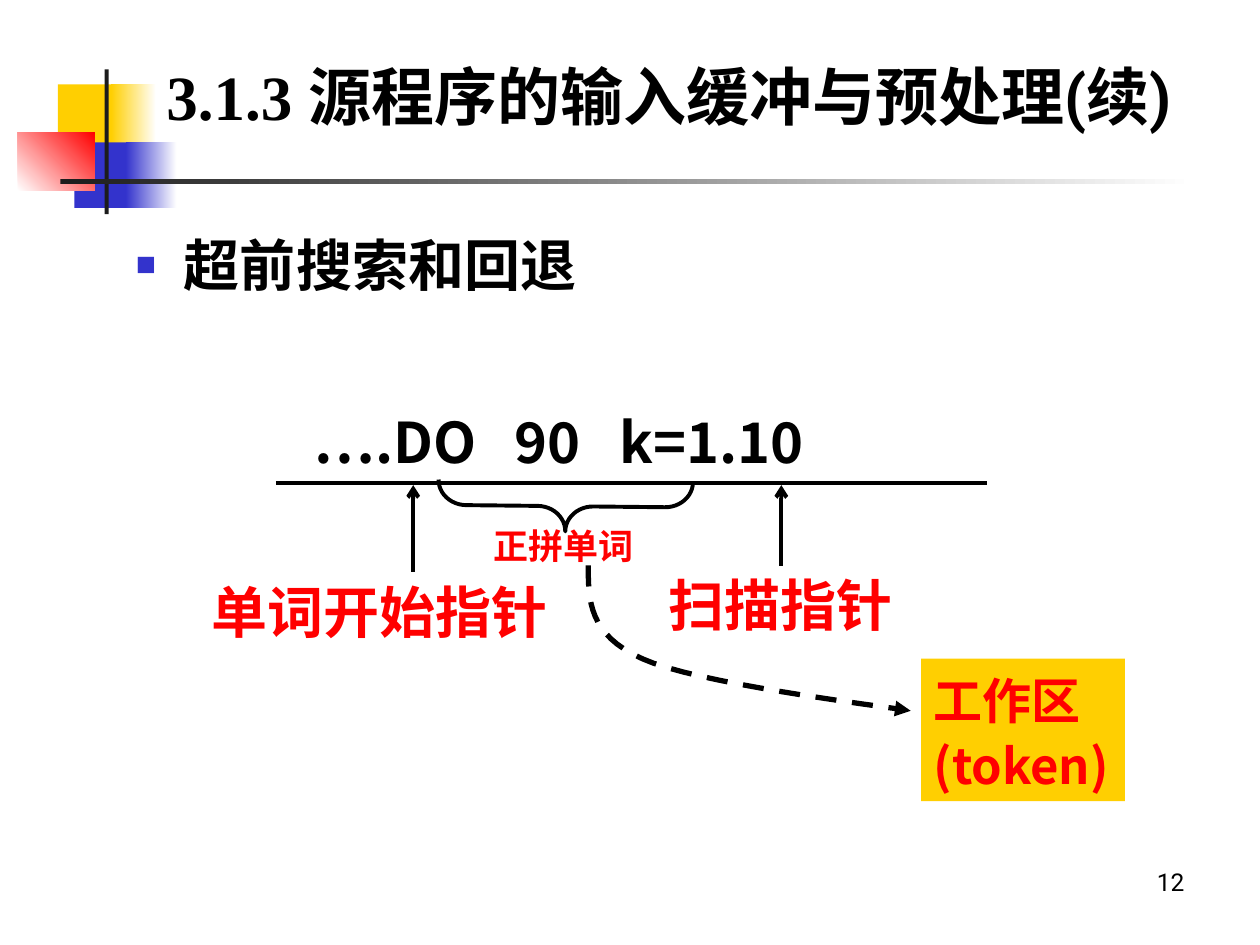
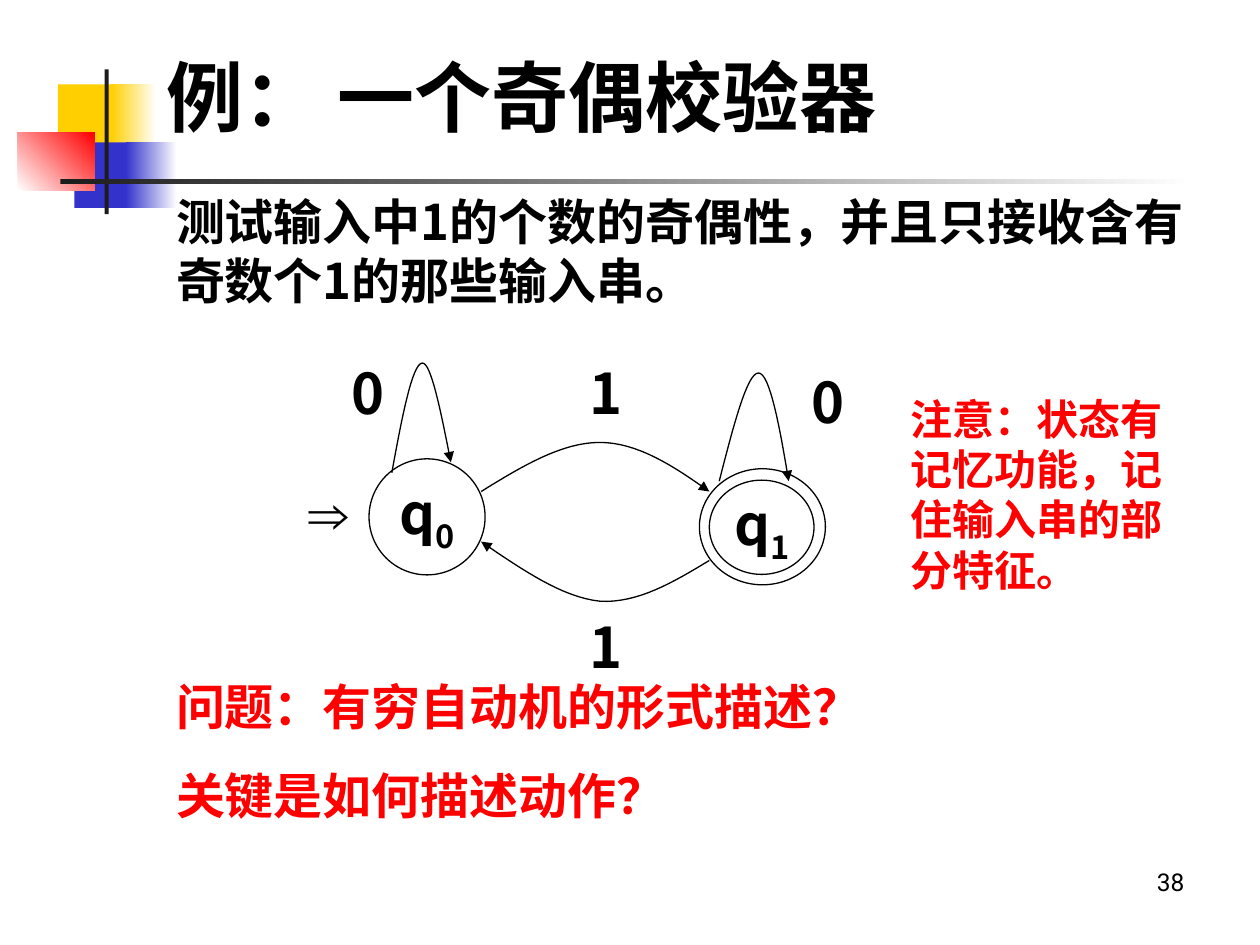
from collections import namedtuple

from lxml.etree import SubElement
from pptx import Presentation
from pptx.dml.color import RGBColor
from pptx.enum.dml import MSO_LINE
from pptx.enum.shapes import MSO_CONNECTOR, MSO_SHAPE
from pptx.enum.text import MSO_ANCHOR, MSO_AUTO_SIZE, PP_ALIGN
from pptx.oxml.ns import qn
from pptx.util import Cm, Pt

BLACK, WHITE, RED = "000000", "FFFFFF", "FF0000"
GOLD, BLUE, DARK = "FFCF01", "3333CC", "1C1C1C"
SANS, SERIF, CJK = "Roboto", "Times New Roman", "Noto Sans CJK SC"


class Box(namedtuple("Box", "x y w h")):
    """A rectangle in centimetres."""

    def inner(self, dx, dy, w, h):
        """Return a rectangle placed relative to this one."""
        return Box(self.x + dx, self.y + dy, w, h)

    def point(self, dx, dy):
        """Return an absolute point relative to this rectangle."""
        return self.x + dx, self.y + dy

    def lengths(self):
        """Return the four lengths for python-pptx."""
        return [Cm(value) for value in self]


def color(hex_code):
    """Turn a hex string into a colour."""
    return RGBColor.from_string(hex_code)


def style(paragraph, size, ink=BLACK, face=CJK, bold=True, align=PP_ALIGN.LEFT):
    """Format a whole paragraph."""
    paragraph.alignment = align
    font = paragraph.font
    font.size, font.bold, font.name = Pt(size), bold, face
    font.color.rgb = color(ink)
    SubElement(paragraph._p.pPr.find(qn("a:defRPr")), qn("a:ea"), typeface=CJK)


def add_text(slide, box, text, size, ink=BLACK, face=CJK, spacing=1.0, **look):
    """Add a wrapping text box and return its first paragraph."""
    frame = slide.shapes.add_textbox(*box.lengths()).text_frame
    frame.word_wrap = True
    frame.text = text
    for paragraph in frame.paragraphs:
        paragraph.line_spacing = spacing
        style(paragraph, size, ink, face, **look)
    for paragraph in frame.paragraphs[1:]:
        paragraph.space_before = Pt(17.5)
    return frame.paragraphs[0]


def add_block(slide, kind, box, fill=None, fade=None, angle=0, line=None):
    """Add a preset shape with a plain, fading or empty fill."""
    block = slide.shapes.add_shape(kind, *box.lengths())
    block.shadow.inherit = False
    if fade:
        block.fill.gradient()
        block.fill.gradient_angle = angle
        for stop, tone in zip(block.fill.gradient_stops, (fill, fade)):
            stop.color.rgb = color(tone)
    elif fill:
        block.fill.solid()
        block.fill.fore_color.rgb = color(fill)
    else:
        block.fill.background()
    if line:
        ink_line(block, line)
    else:
        block.line.fill.background()
    return block


def ink_line(shape, width, head=None, dash=None):
    """Draw a black outline, with an arrowhead at its end if asked."""
    shape.line.width = Pt(width)
    shape.line.color.rgb = color(BLACK)
    if dash:
        shape.line.dash_style = dash
    if head:
        SubElement(shape._element.spPr.find(qn("a:ln")), qn("a:tailEnd"), type=head)


def add_line(slide, start, end, head=None):
    """Add a straight line or arrow."""
    line = slide.shapes.add_connector(
        MSO_CONNECTOR.STRAIGHT, *[Cm(value) for value in start + end])
    ink_line(line, 2.25, head)
    SubElement(line._element.spPr, qn("a:effectLst"))


def bezier(p0, p1, p2, p3, steps=16):
    """Return points along a cubic curve, without its start."""
    points = []
    for step in range(1, steps + 1):
        t = step / steps
        weights = (1 - t) ** 3, 3 * t * (1 - t) ** 2, 3 * t * t * (1 - t), t ** 3
        points.append(tuple(sum(w * p[axis] for w, p in zip(weights, (p0, p1, p2, p3)))
                            for axis in (0, 1)))
    return points


def add_curve(slide, box, knots, width=0.75, dash=None):
    """Add an arrow along two joined cubic curves given by seven points."""
    knots = [box.point(*knot) for knot in knots]
    track = bezier(*knots[:4]) + bezier(*knots[3:])
    builder = slide.shapes.build_freeform(*[Cm(value) for value in knots[0]])
    builder.add_line_segments([(Cm(x), Cm(y)) for x, y in track], close=False)
    curve = builder.convert_to_shape()
    curve.shadow.inherit = False
    curve.fill.background()
    ink_line(curve, width, "triangle", dash)


def add_emblem(slide, box):
    """Draw the coloured squares and the cross lines beside the title."""
    for place, fill, fade, angle in (
            ((0.81, 0.3, 1.22, 1.32), GOLD, None, 0),
            ((1.88, 0.3, 0.91, 1.32), GOLD, WHITE, 0),
            ((1.14, 1.47, 1.17, 1.32), BLUE, None, 0),
            ((2.18, 1.47, 1.02, 1.32), BLUE, WHITE, 0),
            ((0, 1.27, 1.55, 1.17), WHITE, RED, 45),
            ((1.75, 0, 0.08, 2.92), DARK, None, 0),
            ((0.86, 2.21, 22.86, 0.1), DARK, WHITE, 0)):
        add_block(slide, MSO_SHAPE.RECTANGLE, box.inner(*place), fill, fade, angle)


def add_page(deck, title_runs, title_size, title_width, number):
    """Add a slide with emblem, title and page number."""
    slide = deck.slides.add_slide(deck.slide_layouts[5])
    add_emblem(slide, Box(0.36, 1.4, 23.72, 2.92))
    add_text(slide, Box(18.21, 17.35, 5.92, 1.32), number, 14, face=SANS,
             bold=False, align=PP_ALIGN.RIGHT)
    title = slide.shapes.title
    title.left, title.top, title.width, title.height = Box(
        3.1, 0.71, title_width, 2.42).lengths()
    frame = title.text_frame
    frame.auto_size = MSO_AUTO_SIZE.NONE
    frame.vertical_anchor = MSO_ANCHOR.MIDDLE
    heading = frame.paragraphs[0]
    style(heading, title_size, face=SERIF)
    for text, face in title_runs:
        run = heading.add_run()
        run.text = text
        if face != SERIF:
            run.font.name = face
    return slide


def add_bullet(slide, box, text):
    """Add a line with a square blue bullet."""
    paragraph = add_text(slide, box, "", 32, face=SANS)
    properties = paragraph._p.get_or_add_pPr()
    properties.set("marL", str(Cm(0.97)))
    properties.set("indent", str(-Cm(0.97)))
    tone = SubElement(properties, qn("a:buClr"))
    SubElement(tone, qn("a:srgbClr"), val=BLUE)
    SubElement(properties, qn("a:buSzPct"), val="60000")
    SubElement(properties, qn("a:buFont"), typeface="Arial")
    SubElement(properties, qn("a:buChar"), char="■")
    properties.append(properties.find(qn("a:defRPr")))
    paragraph.add_run().text = text


def add_source_line(slide, box):
    """Write the buffered characters, spaced by tab stops."""
    paragraph = add_text(slide, box, "….DO\t90\tk=1.10", 32)
    properties = paragraph._p.get_or_add_pPr()
    stops = SubElement(properties, qn("a:tabLst"))
    for position in (4.06, 6.17):
        SubElement(stops, qn("a:tab"), pos=str(Cm(position)), algn="l")
    properties.append(properties.find(qn("a:defRPr")))


def add_buffer(slide, box):
    """Draw the buffer with its pointers and the work area."""
    add_line(slide, box.point(1.56, 0.23), box.point(15.89, 0.23))
    work_area = add_block(slide, MSO_SHAPE.RECTANGLE,
                          box.inner(14.57, 3.78, 4.11, 2.87), GOLD).text_frame
    work_area.word_wrap = True
    work_area.vertical_anchor = MSO_ANCHOR.TOP
    work_area.text = "工作区(token)"
    work_area.paragraphs[0].line_spacing = 1.1
    style(work_area.paragraphs[0], 28, RED)
    add_curve(slide, box, [(7.86, 1.9), (7.86, 2.59), (7.86, 3.3), (8.95, 3.78),
                           (10.02, 4.27), (13.5, 4.7), (14.36, 4.83)],
              3, MSO_LINE.DASH)
    for x, foot in ((4.33, 2.03), (11.75, 1.9)):
        add_line(slide, box.point(x, foot), box.point(x, 0.28), "arrow")
    brace = add_block(slide, MSO_SHAPE.RIGHT_BRACE,
                      box.inner(6.89, -1.86, 1.02, 5.13), line=2.25)
    brace.rotation = 90.6
    brace.adjustments[0] = 0.55
    for place, text, size in (((0.01, 1.88, 7.49, 1.75), "单词开始指针", 32),
                              ((9.23, 1.75, 5.08, 1.75), "扫描指针", 32),
                              ((5.7, 0.86, 3.84, 1.19), "正拼单词", 20)):
        add_text(slide, box.inner(*place), text, size, RED, SERIF, spacing=1.1)


def add_state(slide, box, index):
    """Draw a state circle named q with a subscript."""
    frame = add_block(slide, MSO_SHAPE.OVAL, box, WHITE, line=0.75).text_frame
    frame.word_wrap = False
    frame.vertical_anchor = MSO_ANCHOR.MIDDLE
    name = frame.paragraphs[0]
    style(name, 32, align=PP_ALIGN.CENTER)
    name.add_run().text = "q"
    subscript = name.add_run()
    subscript.text = index
    subscript._r.get_or_add_rPr().set("baseline", "-25000")


def add_automaton(slide, box):
    """Draw the two states and the moves between them."""
    add_state(slide, box.inner(2.94, 2.25, 2.34, 2.34), "0")
    add_block(slide, MSO_SHAPE.OVAL, box.inner(9.6, 2.45, 2.54, 2.34), WHITE, line=0.75)
    add_state(slide, box.inner(9.8, 2.68, 2.11, 1.9), "1")
    for x, y, symbol in ((2.33, 0.11, "0"), (11.6, 0.29, "0"),
                         (7.13, 0.11, "1"), (7.13, 5.22, "1")):
        add_text(slide, box.inner(x, y, 1.07, 1.63), symbol, 32)
    add_text(slide, box.inner(0, 2.53, 4.24, 1.63), "⇒", 32, face="Arial",
             align=PP_ALIGN.CENTER)
    for knots in (
            [(3.4, 2.53), (3.6, 1.43), (3.81, 0.34), (4.01, 0.32),
             (4.19, 0.29), (4.39, 1.31), (4.59, 2.32)],
            [(10, 2.7), (10.28, 1.61), (10.56, 0.52), (10.79, 0.52),
             (11.02, 0.52), (11.22, 1.61), (11.4, 2.7)],
            [(5.2, 2.91), (6.02, 2.4), (6.83, 1.92), (7.59, 1.92),
             (8.35, 1.92), (9.09, 2.4), (9.8, 2.91)],
            [(9.8, 4.3), (9.09, 4.73), (8.35, 5.17), (7.59, 5.12),
             (6.83, 5.04), (6.02, 4.48), (5.2, 3.92)]):
        add_curve(slide, box, knots)


def main():
    """Build both slides and save the deck."""
    deck = Presentation()
    deck.slide_width, deck.slide_height = Cm(25.4), Cm(19.05)

    buffering = add_page(deck, [("3.1.3 ", SERIF), ("源程序的输入缓冲与预处理(续)", SANS)],
                         36, 22.1, "12")
    add_buffer(buffering, Box(4, 9.5, 18.68, 6.65))
    add_bullet(buffering, Box(2.49, 4.52, 20.8, 1.9), "超前搜索和回退")
    add_source_line(buffering, Box(6.07, 8.1, 14.3, 1.63))

    checker = add_page(deck, [("例： 一个奇偶校验器", SERIF)], 44, 15.82, "38")
    add_automaton(checker, Box(4.5, 7, 12.67, 6.85))
    add_text(checker, Box(3.3, 3.73, 20.83, 2.64),
             "测试输入中1的个数的奇偶性，并且只接收含有奇数个1的那些输入串。", 28)
    add_text(checker, Box(3.3, 13.51, 15.19, 3.25),
             "问题：有穷自动机的形式描述？\n关键是如何描述动作？", 28, RED, SANS)
    add_text(checker, Box(18.11, 7.8, 6.2, 4.32),
             "注意：状态有记忆功能，记住输入串的部分特征。", 24, RED, SANS)
    deck.save("out.pptx")


if __name__ == "__main__":
    main()
